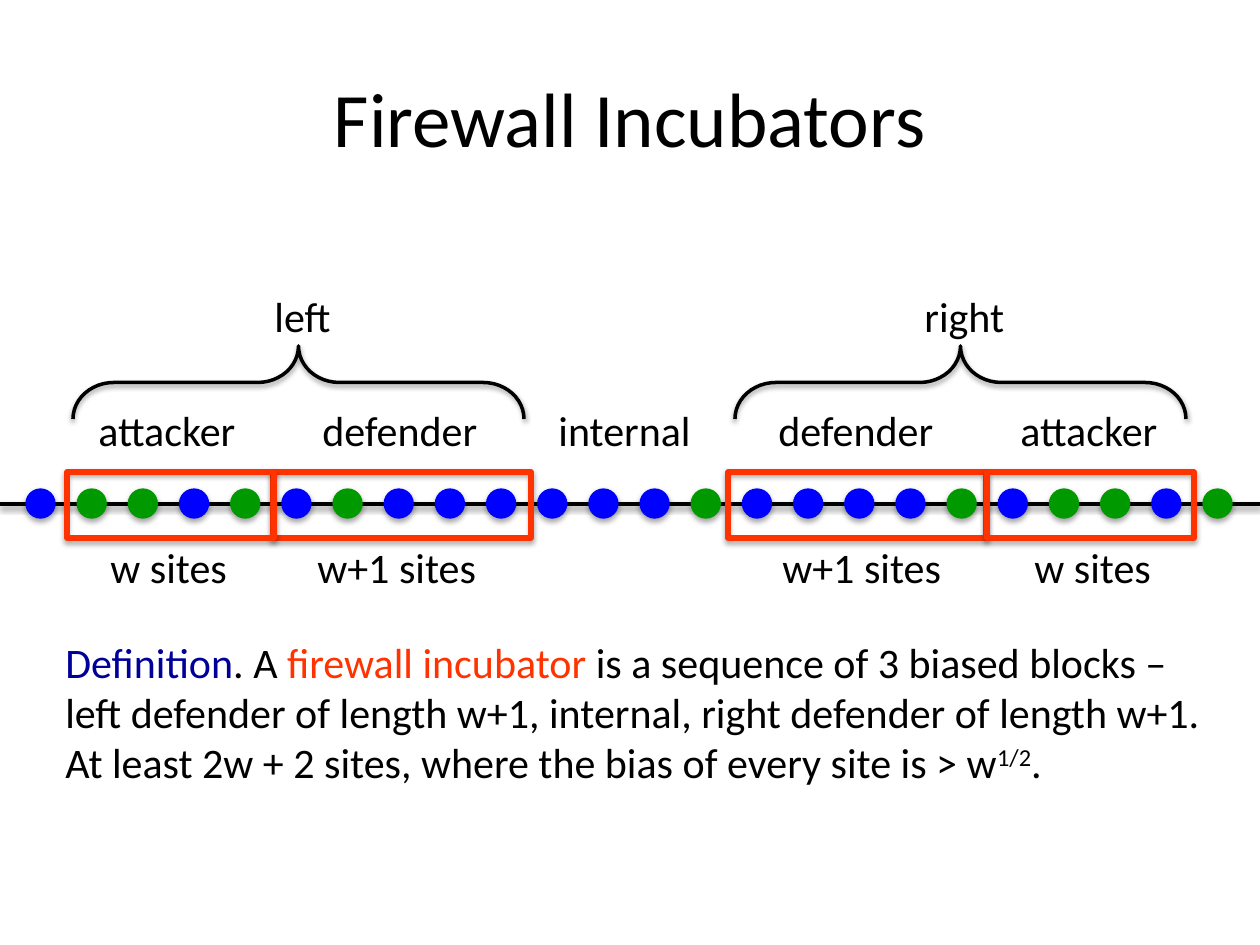
from lxml import etree
from pptx import Presentation
from pptx.dml.color import RGBColor
from pptx.enum.shapes import MSO_CONNECTOR, MSO_SHAPE
from pptx.enum.text import MSO_ANCHOR, MSO_AUTO_SIZE, PP_ALIGN
from pptx.oxml.ns import qn
from pptx.util import Emu, Pt

OVAL, RECT, BRACE = MSO_SHAPE.OVAL, MSO_SHAPE.RECTANGLE, MSO_SHAPE.LEFT_BRACE
STRAIGHT = MSO_CONNECTOR.STRAIGHT
CENTER, LEFT = PP_ALIGN.CENTER, PP_ALIGN.LEFT
MIDDLE, TOP = MSO_ANCHOR.MIDDLE, MSO_ANCHOR.TOP
GROW = MSO_AUTO_SIZE.SHAPE_TO_FIT_TEXT

COLORS = {
    "black": "000000",
    "blue": "0000FF",
    "green": "009900",
    "orange": "FF3300",
    "navy": "000099",
}
SITE_COLORS = {"B": "blue", "G": "green"}
SITES = "BGGBGBGBBBBBBGBBBBGBGGBG"
FIRST_SITE, LAST_SITE, SITE_SIZE = 26, 1203, 29
BLOCKS = [(273, 258), (728, 258), (67, 207), (987, 207)]
BRACES = [262, 924]
LABELS = {
    284: [("left", 262, 82), ("right", 912, 106)],
    398: [("attacker", 86, 166), ("defender", 310, 183), ("internal", 546, 160),
          ("defender", 766, 183), ("attacker", 1008, 166)],
    535: [("w sites", 98, 144), ("w+1 sites", 305, 186),
          ("w+1 sites", 770, 186), ("w sites", 1022, 144)],
}
DEFINITION = [
    [("Definition", "navy"), (". A ", "black"), ("firewall incubator", "orange"),
     (" is a sequence of 3 biased blocks – ", "black"), "break",
     ("left defender of length w+1, internal, right defender of length w+1.", "black")],
    [("At least 2w + 2 sites, where the bias of every site is > w", "black"),
     ("1/2", "black", 30), (".", "black")],
]


def px(value):
    return Emu(round(value * 914400 / 126))


def rgb(color):
    return RGBColor.from_string(COLORS[color])


class Deck:
    font = "Calibri"

    def __init__(self):
        self.prs = Presentation()
        self.prs.slide_width, self.prs.slide_height = px(1260), px(945)
        self.slide = self.prs.slides.add_slide(self.prs.slide_layouts[6])

    def outline(self, item, color, width, opacity, distance):
        """Set the line of a shape or connector, then its soft shadow straight below."""
        item.line.color.rgb = rgb(color)
        item.line.width = Pt(width)
        effects = etree.SubElement(item._element.spPr, qn("a:effectLst"))
        shadow = etree.SubElement(effects, qn("a:outerShdw"), blurRad="40000",
                                  dist=str(distance), dir="5400000", rotWithShape="0")
        black = etree.SubElement(shadow, qn("a:srgbClr"), val=COLORS["black"])
        etree.SubElement(black, qn("a:alpha"), val=str(opacity * 1000))

    def line(self, x1, y1, x2, y2):
        line = self.slide.shapes.add_connector(STRAIGHT, px(x1), px(y1), px(x2), px(y2))
        self.outline(line, "black", 2, 38, 20000)

    def site(self, left, top, size, color):
        site = self.slide.shapes.add_shape(OVAL, px(left), px(top), px(size), px(size))
        site.fill.solid()
        site.fill.fore_color.rgb = rgb(color)
        self.outline(site, color, 0.75, 35, 23000)

    def block(self, left, top, width, height):
        block = self.slide.shapes.add_shape(RECT, px(left), px(top), px(width), px(height))
        block.fill.background()
        self.outline(block, "orange", 3, 35, 23000)

    def brace(self, left, top, width, height):
        """Draw a brace that a quarter turn points upwards."""
        brace = self.slide.shapes.add_shape(BRACE, px(left), px(top), px(width), px(height))
        brace.rotation = 90
        brace.adjustments[0] = 0.56
        brace.fill.background()
        self.outline(brace, "black", 2, 38, 20000)

    def text(self, paragraphs, left, top, width, height, size=24,
             align=LEFT, anchor=TOP, wrap=False):
        box = self.slide.shapes.add_textbox(px(left), px(top), px(width), px(height))
        frame = box.text_frame
        frame.word_wrap = wrap
        frame.vertical_anchor = anchor
        if not wrap:
            frame.auto_size = GROW
        for index, parts in enumerate(paragraphs):
            paragraph = frame.add_paragraph() if index else frame.paragraphs[0]
            paragraph.alignment = align
            for part in parts:
                if part == "break":
                    paragraph.add_line_break()
                else:
                    self.run(paragraph, size, *part)

    def run(self, paragraph, size, words, color, raised=0):
        run = paragraph.add_run()
        run.text = words
        run.font.name = self.font
        run.font.size = Pt(size)
        run.font.color.rgb = rgb(color)
        if raised:
            run.font._element.set("baseline", str(raised * 1000))


def main():
    deck = Deck()
    deck.text([[("Firewall Incubators", "black")]], 63, 38, 1134, 157,
              size=44, align=CENTER, anchor=MIDDLE, wrap=True)

    deck.line(0, 504, 1260, 504)
    pitch = (LAST_SITE - FIRST_SITE) / (len(SITES) - 1)
    for index, kind in enumerate(SITES):
        deck.site(FIRST_SITE + index * pitch, 489, SITE_SIZE, SITE_COLORS[kind])
    for left, width in BLOCKS:
        deck.block(left, 472, width, 66)
    for left in BRACES:
        deck.brace(left, 157, 73, 451)

    for top, labels in LABELS.items():
        for words, left, width in labels:
            deck.text([[(words, "black")]], left, top, width, 63)
    deck.text(DEFINITION, 53, 630, 1172, 165)
    deck.prs.save("out.pptx")


if __name__ == "__main__":
    main()
